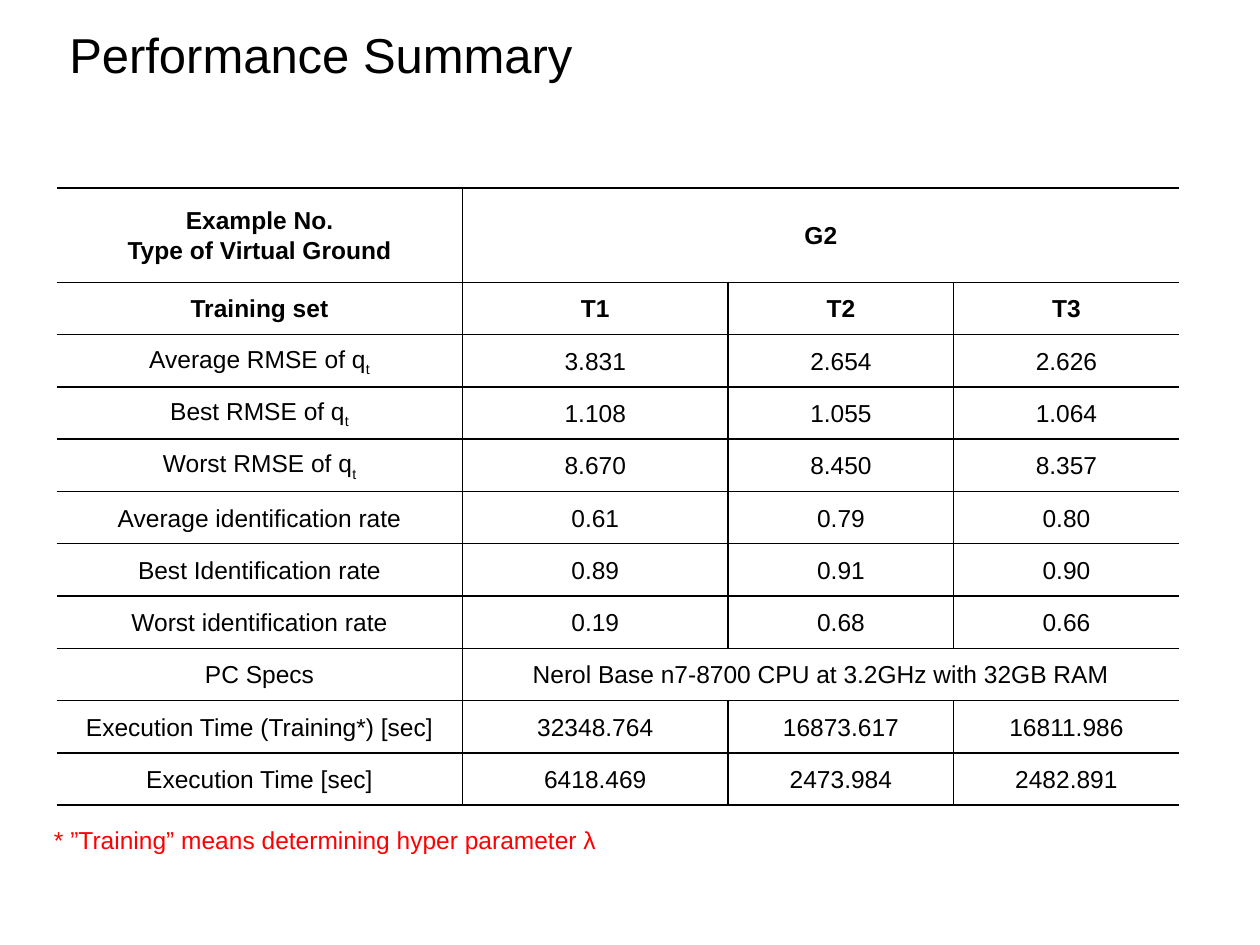
from pptx import Presentation
from pptx import util as u
from pptx.dml.color import RGBColor
from pptx.enum import text
from pptx.oxml import ns
from lxml import etree

BLACK, WHITE, RED = "000000", "FFFFFF", "FF0000"
ROWS = [
    ("Example No.\nType of Virtual Ground", "G2"),
    ("Training set", "T1", "T2", "T3"),
    ("Average RMSE of q_t", "3.831", "2.654", "2.626"),
    ("Best RMSE of q_t", "1.108", "1.055", "1.064"),
    ("Worst RMSE of q_t", "8.670", "8.450", "8.357"),
    ("Average identification rate", "0.61", "0.79", "0.80"),
    ("Best Identification rate", "0.89", "0.91", "0.90"),
    ("Worst identification rate", "0.19", "0.68", "0.66"),
    ("PC Specs", "Nerol Base n7-8700 CPU at 3.2GHz with 32GB RAM"),
    ("Execution Time (Training*) [sec]", "32348.764", "16873.617", "16811.986"),
    ("Execution Time [sec]", "6418.469", "2473.984", "2482.891"),
]
COLUMN_WIDTHS = [3.22, 2.11, 1.79, 1.79]
ROW_HEIGHTS = [0.75] + [0.415] * 10
BOLD_ROWS = 2


def color(value):
    return RGBColor.from_string(value)


class SummaryPage:
    font = "Arial"
    body_size = 14
    title_size = 28
    border_width = 1

    def __init__(self, deck):
        self.page = deck.slides.add_slide(deck.slide_layouts[5])

    def add_span(self, para, words, size, shade=BLACK, bold=False, baseline=None):
        span = para.add_run()
        span.text = words
        span.font.name = self.font
        span.font.size = u.Pt(size)
        span.font.bold = bold
        span.font.color.rgb = color(shade)
        if baseline:
            span._r.get_or_add_rPr().set("baseline", str(baseline))

    def add_title(self, words, left, top, width, height):
        box = self.page.shapes.title
        box.left, box.top = u.Inches(left), u.Inches(top)
        box.width, box.height = u.Inches(width), u.Inches(height)
        box.text_frame.vertical_anchor = text.MSO_ANCHOR.MIDDLE
        para = box.text_frame.paragraphs[0]
        para.alignment = text.PP_ALIGN.LEFT
        self.add_span(para, words, self.title_size)

    def add_note(self, words, left, top, width, height):
        box = self.page.shapes.add_textbox(
            u.Inches(left), u.Inches(top), u.Inches(width), u.Inches(height))
        box.text_frame.word_wrap = True
        box.text_frame.auto_size = text.MSO_AUTO_SIZE.SHAPE_TO_FIT_TEXT
        para = box.text_frame.paragraphs[0]
        para.alignment = text.PP_ALIGN.JUSTIFY
        self.add_span(para, words, self.body_size, RED)

    def set_borders(self, cell, hidden):
        properties = cell._tc.get_or_add_tcPr()
        for index, side in enumerate("LRTB"):
            line = etree.Element(ns.qn(f"a:ln{side}"), w=str(u.Pt(self.border_width)))
            if side in hidden:
                etree.SubElement(line, ns.qn("a:noFill"))
            else:
                fill = etree.SubElement(line, ns.qn("a:solidFill"))
                etree.SubElement(fill, ns.qn("a:srgbClr"), val=BLACK)
            properties.insert(index, line)

    def fill_cell(self, cell, words, bold, inset):
        cell.vertical_anchor = text.MSO_ANCHOR.MIDDLE
        cell.margin_left = cell.margin_right = u.Inches(0.06 * inset)
        cell.margin_top = cell.margin_bottom = u.Inches(0.03 * inset)
        for index, line in enumerate(words.split("\n")):
            frame = cell.text_frame
            para = frame.add_paragraph() if index else frame.paragraphs[0]
            para.alignment = text.PP_ALIGN.CENTER
            para.line_spacing = 1.07
            base, _, subscript = line.partition("_")
            self.add_span(para, base, self.body_size, bold=bold)
            if subscript:
                self.add_span(para, subscript, self.body_size, bold=bold, baseline=-25000)

    def add_table(self, rows, left, top, widths, heights):
        table = self.page.shapes.add_table(
            len(rows), len(widths), u.Inches(left), u.Inches(top),
            u.Inches(sum(widths)), u.Inches(sum(heights))).table
        table.first_row = table.horz_banding = False
        for column, width in zip(table.columns, widths):
            column.width = u.Inches(width)
        last = len(widths) - 1
        for row_index, (values, height) in enumerate(zip(rows, heights)):
            table.rows[row_index].height = u.Inches(height)
            merged = len(values) < len(widths)
            if merged:
                table.cell(row_index, 1).merge(table.cell(row_index, last))
            for index in range(len(widths)):
                cell = table.cell(row_index, index)
                cell.fill.solid()
                cell.fill.fore_color.rgb = color(WHITE)
                at_right = index == last or (merged and index > 0)
                self.set_borders(cell, "L" * (index == 0) + "R" * at_right)
                if index < len(values):
                    self.fill_cell(cell, values[index], row_index < BOLD_ROWS, index < 2)


def main():
    deck = Presentation()
    deck.slide_width, deck.slide_height = u.Inches(10), u.Inches(7.5)
    summary = SummaryPage(deck)
    summary.add_title("Performance Summary", 0.45, 0.17, 7.92, 0.52)
    summary.add_table(ROWS, 0.45, 1.49, COLUMN_WIDTHS, ROW_HEIGHTS)
    summary.add_note("* ”Training” means determining hyper parameter λ", 0.33, 6.5, 5.72, 0.34)
    deck.save("out.pptx")


if __name__ == "__main__":
    main()
